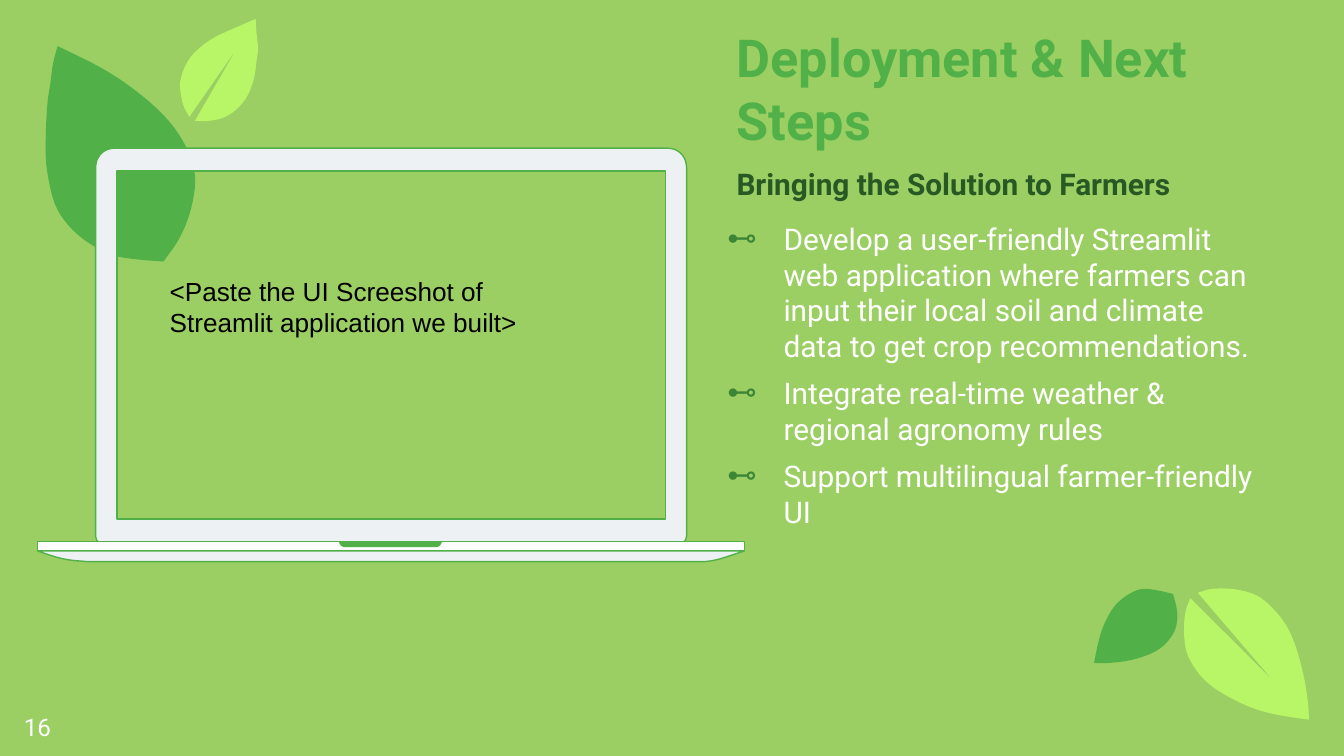
from lxml.etree import SubElement as Sub
from pptx import Presentation
from pptx.dml.color import RGBColor as Rgb
from pptx.enum.shapes import MSO_SHAPE as Kind
from pptx.enum.text import MSO_ANCHOR as Anchor, MSO_AUTO_SIZE as Fit, PP_ALIGN as Align
from pptx.oxml.ns import qn
from pptx.util import Inches, Pt

WIDE = 10
HIGH = WIDE * 9 / 16
HUES = {
    "ground": "9BCF63", "leaf": "51B148", "lime": "B8F567", "shell": "EEF1F3",
    "white": "FFFFFF", "black": "000000", "dark": "285824", "mark": "3D8536",
}
BIG = [
    [(8, 0), (37, 10), (59, 20), (79, 32), (92, 44), (99, 56), (100, 66), (96, 79), (89, 90), (79, 100)],
    [(79, 100), (61, 99), (45, 97), (28, 91), (15, 83), (6, 73), (1, 58), (0, 46), (1, 28), (3, 18), (5, 8), (8, 0)],
]
SPLIT = [
    [(12, 96), (72, 30)],
    [(19, 100), (36, 100), (55, 97), (72, 89), (86, 76), (95, 58), (98, 42), (100, 29), (98, 13), (97, 0)],
    [(97, 0), (76, 7), (47, 17), (29, 26), (14, 37), (5, 49), (1, 59), (0, 67), (4, 84), (12, 96)],
]
BROAD = [
    [(11, 3), (72, 71)],
    [(5, 7), (1, 18), (0, 33), (2, 48), (9, 61), (18, 71), (31, 80), (52, 90), (73, 96), (100, 100)],
    [(100, 100), (99, 86), (96, 68), (90, 46), (83, 30), (74, 18), (63, 8), (53, 3), (38, 0), (22, 0), (11, 3)],
]
SMALL = [
    [(0, 100), (5, 73), (11, 51), (21, 29), (32, 15), (47, 4), (60, 0), (76, 2), (95, 7)],
    [(95, 7), (100, 33), (97, 56), (85, 75), (69, 87), (45, 96), (19, 100), (0, 100)],
]
LID = [
    [(0, 4.8), (0.24, 3), (0.94, 1.4), (2, 0.36), (3.2, 0)],
    [(96.8, 0), (98, 0.36), (99.06, 1.4), (99.76, 3), (100, 4.8)],
    [(100, 98.3), (99.7, 99.5), (98.9, 100)], [(1.1, 100), (0.3, 99.5), (0, 98.3)],
]
SCREEN = [[(3.6, 5.8), (3.6, 93.9), (96.4, 93.9), (96.4, 5.8)]]
BASE = [[(0, 0), (2.5, 55), (4.6, 85), (7.2, 100)], [(94.3, 100), (95.5, 90), (97, 65), (100, 0)]]
GRIP = [[(0, 0), (2, 70), (5, 100)], [(95, 100), (98, 70), (100, 0)]]
ITEMS = [
    "Develop a user-friendly Streamlit web application where farmers can input their local soil and climate data to get crop recommendations.",
    "Integrate real-time weather & regional agronomy rules",
    "Support multilingual farmer-friendly UI",
]


def hue(name):
    return Rgb.from_string(HUES[name])


def part(box, x, y, w, h):
    left, top, wide, high = box
    return left + x * wide, top + y * high, w * wide, h * high


def smooth(run, steps=4):
    ends = [run[0], *run, run[-1]]
    spots = [run[0]]
    for a, b, c, d in zip(ends, ends[1:], ends[2:], ends[3:]):
        for n in range(1, steps + 1):
            t = n / steps
            spots.append(tuple(
                (2 * q + (r - p) * t + (2 * p - 5 * q + 4 * r - s) * t**2
                 + (3 * q - p - 3 * r + s) * t**3) / 2
                for p, q, r, s in zip(a, b, c, d)))
    return spots


def paint(shape, fill, line=None):
    shape.shadow.inherit = False
    shape.fill.solid()
    shape.fill.fore_color.rgb = hue(fill)
    if line:
        shape.line.color.rgb = hue(line)
        shape.line.width = Pt(0.75)
    else:
        shape.line.fill.background()


def trace(slide, box, runs, fill, line=None, hole=None):
    left, top, wide, high = box

    def place(spot):
        return Inches(left + spot[0] * wide / 100), Inches(top + spot[1] * high / 100)

    rings = [[place(s) for run in runs for s in smooth(run)]]
    if hole:
        rings.append([place(s) for run in hole for s in run])
    pen = slide.shapes.build_freeform(*rings[0][0], scale=1.0)
    pen.add_line_segments(rings[0][1:], close=True)
    for ring in rings[1:]:
        pen.move_to(*ring[0])
        pen.add_line_segments(ring[1:], close=True)
    paint(pen.convert_to_shape(), fill, line)


def leaves(slide, box):
    for runs, spot, fill in (
        (BROAD, (0.881, 0.779, 0.093, 0.173), "lime"),
        (SMALL, (0.814, 0.779, 0.062, 0.098), "leaf"),
        (SPLIT, (0.134, 0.025, 0.058, 0.135), "lime"),
        (BIG, (0.034, 0.061, 0.111, 0.285), "leaf"),
    ):
        trace(slide, part(box, *spot), runs, fill)


def write(shape, box, lines, size, tone, bold=False, face="Roboto", anchor=Anchor.TOP, pad=0.05, gap=0):
    shape.left, shape.top, shape.width, shape.height = map(Inches, box)
    frame = shape.text_frame
    frame.word_wrap = True
    frame.auto_size = Fit.NONE
    frame.vertical_anchor = anchor
    frame.margin_left = frame.margin_right = Inches(0.1)
    frame.margin_top = frame.margin_bottom = Inches(pad)
    frame.text = "\n".join(lines)
    for para in frame.paragraphs:
        para.alignment = Align.LEFT
        para.space_before = Pt(gap)
        font = para.font
        font.name, font.size, font.bold = face, Pt(size), bold
        font.color.rgb = hue(tone)
    return frame


def label(slide, box, text, size, tone, **style):
    return write(slide.shapes.add_textbox(0, 0, 0, 0), box, [text], size, tone, **style)


def bullet(para):
    props = para._p.get_or_add_pPr()
    props.set("marL", str(Inches(0.5)))
    props.set("indent", str(Inches(-0.42)))
    tint = Sub(props, qn("a:buClr"))
    Sub(tint, qn("a:srgbClr"), val=HUES["mark"])
    mark = Sub(props, qn("a:buChar"), char="⊷")
    font = props.find(qn("a:defRPr"))
    font.addprevious(tint)
    font.addprevious(mark)


def laptop(slide, box):
    trace(slide, part(box, 0.082, 0, 0.836, 0.955), LID, "shell", "leaf", SCREEN)
    trace(slide, part(box, 0, 0.974, 1, 0.026), BASE, "shell", "leaf")
    spot = part(box, 0, 0.952, 1, 0.021)
    paint(slide.shapes.add_shape(Kind.RECTANGLE, *map(Inches, spot)), "white", "leaf")
    trace(slide, part(box, 0.426, 0.952, 0.146, 0.013), GRIP, "leaf")
    label(slide, part(box, 0.168, 0.292, 0.627, 0.185),
          "<Paste the UI Screeshot of Streamlit application we built>", 14, "black", face="Arial")


def story(slide, box):
    title, body = slide.placeholders
    write(title, part(box, 0.033, 0, 0.82, 0.239), ["Deployment & Next Steps"], 28, "leaf",
          bold=True, anchor=Anchor.BOTTOM, pad=0.1, gap=6)
    label(slide, part(box, 0.033, 0.227, 0.967, 0.116), "Bringing the Solution to Farmers", 16, "dark", bold=True)
    frame = write(body, part(box, 0, 0.547, 0.93, 0.453), ITEMS, 16, "white",
                  anchor=Anchor.MIDDLE, pad=0.1, gap=6)
    frame.margin_bottom = Inches(0.36)
    for para in frame.paragraphs:
        bullet(para)


def main():
    deck = Presentation()
    deck.slide_width, deck.slide_height = Inches(WIDE), Inches(HIGH)
    slide = deck.slides.add_slide(deck.slide_layouts[1])
    back = slide.background.fill
    back.solid()
    back.fore_color.rgb = hue("ground")
    page = (0, 0, WIDE, HIGH)
    leaves(slide, page)
    laptop(slide, part(page, 0.028, 0.196, 0.526, 0.547))
    story(slide, part(page, 0.523, 0.082, 0.46, 0.565))
    label(slide, part(page, 0.008, 0.923, 0.06, 0.077), "16", 13, "white", anchor=Anchor.MIDDLE, pad=0.1)
    deck.save("out.pptx")


if __name__ == "__main__":
    main()
